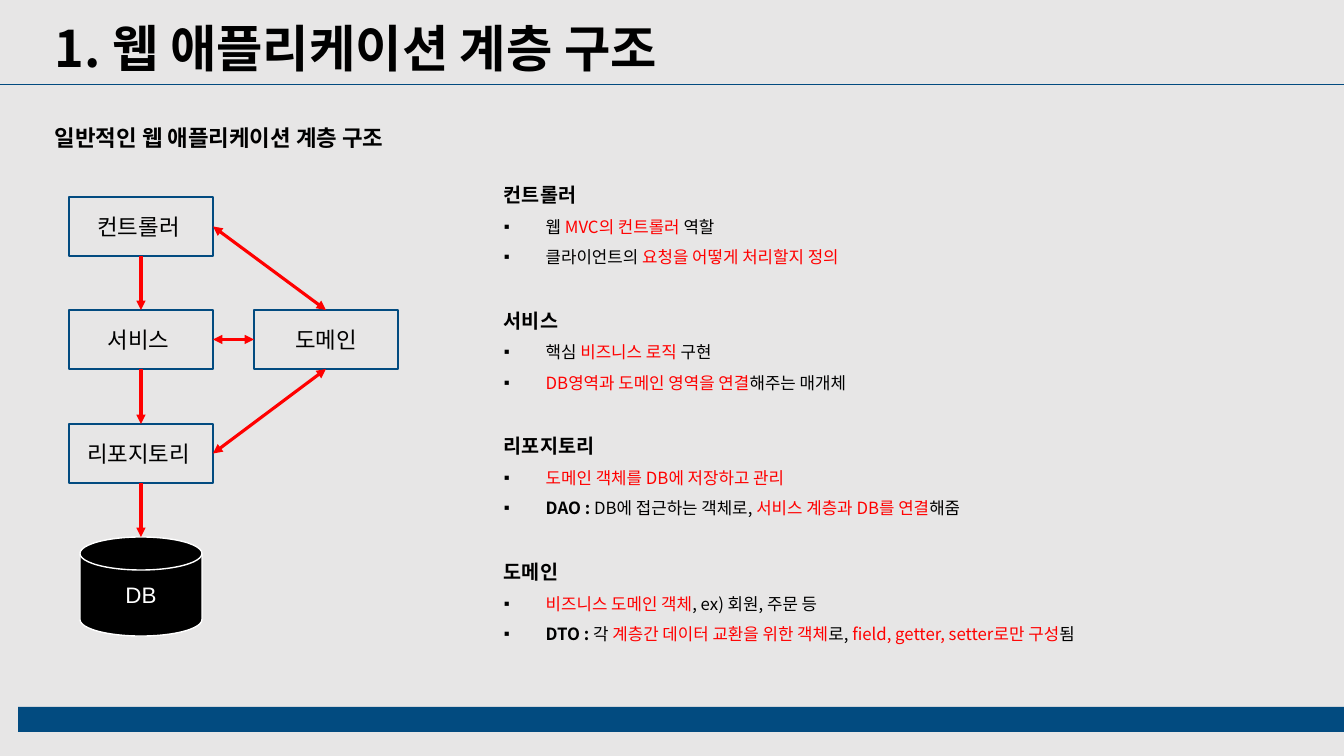
from dataclasses import dataclass

from lxml import etree
from pptx import Presentation
from pptx.dml.color import RGBColor
from pptx.enum.shapes import MSO_CONNECTOR, MSO_SHAPE
from pptx.enum.text import MSO_ANCHOR, PP_ALIGN
from pptx.oxml.ns import qn
from pptx.util import Pt

PX = 914400 / 100.8
STRAIGHT = MSO_CONNECTOR.STRAIGHT
RECTANGLE, DISK = MSO_SHAPE.RECTANGLE, MSO_SHAPE.FLOWCHART_MAGNETIC_DISK
MIDDLE, CENTER = MSO_ANCHOR.MIDDLE, PP_ALIGN.CENTER
TOP, LEFT, BOTTOM, RIGHT = range(4)


@dataclass(frozen=True)
class Theme:
    background: str = "E7E6E6"
    navy: str = "024B80"
    black: str = "000000"
    white: str = "FFFFFF"
    red: str = "FF0000"
    korean: str = "Noto Sans CJK KR"
    latin: str = "Arial"
    title: int = 36
    subtitle: int = 16
    heading: int = 14
    body: int = 12


def emu(*lengths):
    return [round(length * PX) for length in lengths]


class Deck:
    def __init__(self, theme):
        self.theme = theme
        self.presentation = Presentation()
        self.presentation.slide_width, self.presentation.slide_height = emu(1344, 756)
        self.slide = self.presentation.slides.add_slide(self.presentation.slide_layouts[6])
        fill = self.slide.background.fill
        fill.solid()
        fill.fore_color.rgb = RGBColor.from_string(theme.background)

    def run(self, paragraph, text, size, color=None, bold=False, font=None):
        run = paragraph.add_run()
        run.text = text
        run.font.size, run.font.bold = Pt(size), bold
        run.font.color.rgb = RGBColor.from_string(color or self.theme.black)
        run.font.name = font or self.theme.korean
        east_asian = etree.SubElement(run.font._element, qn("a:ea"))
        east_asian.set("typeface", font or self.theme.korean)

    def text_frame(self, *bounds):
        frame = self.slide.shapes.add_textbox(*emu(*bounds)).text_frame
        frame.word_wrap = True
        return frame

    def line_of_text(self, bounds, text, size, spacing=1.0):
        paragraph = self.text_frame(*bounds).paragraphs[0]
        paragraph.line_spacing = spacing
        self.run(paragraph, text, size, bold=True)

    def bullet(self, paragraph):
        properties = paragraph._p.get_or_add_pPr()
        indent = emu(38)[0]
        properties.set("marL", str(indent))
        properties.set("indent", str(-indent))
        etree.SubElement(properties, qn("a:buFont")).set("typeface", self.theme.latin)
        etree.SubElement(properties, qn("a:buChar")).set("char", "▪")

    def sections(self, bounds, sections):
        """Each section is a heading and bullets made of (text, style) pieces."""
        theme = self.theme
        styles = {"plain": {}, "key": {"color": theme.red}, "term": {"bold": True}}
        frame = self.text_frame(*bounds)
        for number, (heading, bullets) in enumerate(sections):
            paragraph = frame.add_paragraph() if number else frame.paragraphs[0]
            paragraph.line_spacing = 1.5
            if number:
                paragraph.space_before = Pt(21.4)
            self.run(paragraph, heading, theme.heading, bold=True)
            for pieces in bullets:
                paragraph = frame.add_paragraph()
                paragraph.line_spacing = 1.5
                self.bullet(paragraph)
                for text, style in pieces:
                    self.run(paragraph, text, theme.body, **styles[style])

    def shape(self, kind, bounds, fill=None, line=None, text="", color=None, font=None):
        shape = self.slide.shapes.add_shape(kind, *emu(*bounds))
        shape.shadow.inherit = False
        if fill:
            shape.fill.solid()
            shape.fill.fore_color.rgb = RGBColor.from_string(fill)
        else:
            shape.fill.background()
        if line:
            shape.line.color.rgb = RGBColor.from_string(line)
            shape.line.width = Pt(1)
        else:
            shape.line.fill.background()
        if text:
            shape.text_frame.vertical_anchor = MIDDLE
            paragraph = shape.text_frame.paragraphs[0]
            paragraph.alignment = CENTER
            self.run(paragraph, text, self.theme.subtitle, color, font=font)
        return shape

    def layer(self, x, y, name):
        return self.shape(RECTANGLE, (x, y, 144, 59), line=self.theme.navy, text=name)

    def line(self, points, color, width, ends=()):
        line = self.slide.shapes.add_connector(STRAIGHT, *emu(*points))
        line.line.color.rgb = RGBColor.from_string(color)
        line.line.width = Pt(width)
        for end in ends:
            etree.SubElement(line.line._get_or_add_ln(), qn(f"a:{end}")).set("type", "triangle")
        etree.SubElement(line._element.spPr, qn("a:effectLst"))
        return line

    def arrow(self, start, start_side, end, end_side, ends):
        arrow = self.line((0, 0, 0, 0), self.theme.red, 2.25, ends)
        arrow.begin_connect(start, start_side)
        arrow.end_connect(end, end_side)


SECTIONS = [
    ("컨트롤러", [
        [(" 웹 ", "plain"), ("MVC의 컨트롤러", "key"), (" 역할", "plain")],
        [(" 클라이언트의 ", "plain"), ("요청을 어떻게 처리할지 정의", "key")],
    ]),
    ("서비스", [
        [(" 핵심 ", "plain"), ("비즈니스 로직", "key"), (" 구현", "plain")],
        [(" ", "plain"), ("DB영역과 도메인 영역을 연결", "key"), ("해주는 매개체", "plain")],
    ]),
    ("리포지토리", [
        [(" ", "plain"), ("도메인 객체를 DB에 저장하고 관리", "key")],
        [(" DAO : ", "term"), ("DB에 접근하는 객체로, ", "plain"),
         ("서비스 계층과 DB를 연결", "key"), ("해줌", "plain")],
    ]),
    ("도메인", [
        [(" ", "plain"), ("비즈니스 도메인 객체", "key"), (", ex) 회원, 주문 등", "plain")],
        [(" DTO : ", "term"), ("각 ", "plain"), ("계층간 데이터 교환을 위한 객체", "key"),
         ("로, ", "plain"), ("field, getter, setter로만 구성", "key"), ("됨", "plain")],
    ]),
]


def main():
    theme = Theme()
    deck = Deck(theme)

    # Title, rule and footer bar
    deck.shape(RECTANGLE, (18, 707, 1326, 25), fill=theme.navy)
    deck.line_of_text((45, 12, 878, 72), "1. 웹 애플리케이션 계층 구조", theme.title)
    deck.line((0, 84, 1344, 84), theme.navy, 0.5)
    deck.line_of_text((45, 106, 972, 241), "일반적인 웹 애플리케이션 계층 구조", theme.subtitle, 1.5)

    # Layer descriptions
    deck.sections((494, 166, 667, 485), SECTIONS)

    # Layers, domain and database
    controller, service, repository = [
        deck.layer(69, y, name)
        for y, name in ((197, "컨트롤러 "), (310, "서비스 "), (424, "리포지토리 "))
    ]
    deck.shape(DISK, (80, 537, 122, 99), theme.black, theme.white, "DB", theme.white, theme.latin)
    domain = deck.layer(254, 310, "도메인")

    # Calls downwards
    deck.arrow(controller, BOTTOM, service, TOP, ["tailEnd"])
    deck.arrow(service, BOTTOM, repository, TOP, ["tailEnd"])
    to_database = deck.line((141, 483, 141, 537), theme.red, 2.25, ["tailEnd"])
    to_database.begin_connect(repository, BOTTOM)

    # Exchange with the domain
    for domain_side, layer in ((BOTTOM, repository), (LEFT, service), (TOP, controller)):
        deck.arrow(domain, domain_side, layer, RIGHT, ["headEnd", "tailEnd"])

    deck.presentation.save("out.pptx")


if __name__ == "__main__":
    main()
